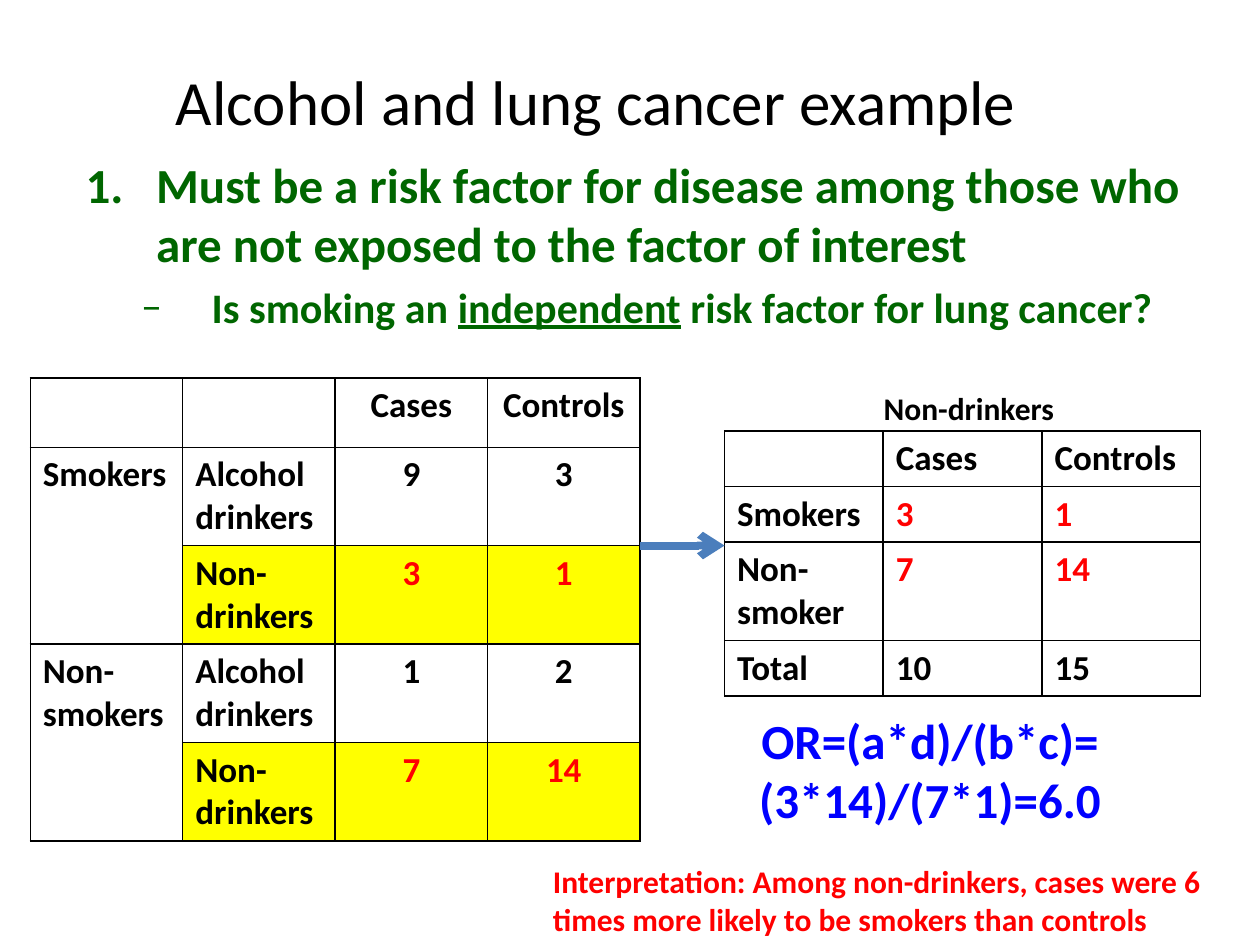
from pptx import Presentation
from pptx.dml.color import RGBColor
from pptx.enum.shapes import MSO_CONNECTOR
from pptx.enum.text import MSO_ANCHOR, MSO_AUTO_SIZE, PP_ALIGN
from pptx.oxml.ns import qn
from pptx.util import Inches, Pt
from lxml import etree

LEFT, CENTER = PP_ALIGN.LEFT, PP_ALIGN.CENTER
BLACK, RED, GREEN, BLUE, YELLOW = "000000", "FF0000", "006600", "0000FF", "FFFF00"


def color(hex_string):
    return RGBColor.from_string(hex_string)


def add_run(p, text, size, hex_string, bold=True):
    r = p.add_run()
    r.text = text
    r.font.name = "Calibri"
    r.font.size = Pt(size)
    r.font.bold = bold
    r.font.color.rgb = color(hex_string)
    return r


prs = Presentation()
prs.slide_width, prs.slide_height = Inches(10), Inches(7.5)
s = prs.slides.add_slide(prs.slide_layouts[1])

# Title and numbered criterion
title, body = s.placeholders
for sp, box in ((title, (0.23, 0.17, 9, 1.25)), (body, (0.58, 1.18, 9, 4.95))):
    sp.left, sp.top, sp.width, sp.height = map(Inches, box)
    sp.text_frame.auto_size = MSO_AUTO_SIZE.NONE
title.text_frame.vertical_anchor = MSO_ANCHOR.MIDDLE
p = title.text_frame.paragraphs[0]
p.alignment = CENTER
add_run(p, "Alcohol and lung cancer example", 36, BLACK, bold=False)

tf = body.text_frame
criterion, question = tf.paragraphs[0], tf.add_paragraph()
question.level = 1
add_run(criterion, "Must be a risk factor for disease among those who are not exposed "
        "to the factor of interest", 28, GREEN)
add_run(question, "Is smoking an ", 24, GREEN)
add_run(question, "independent", 24, GREEN).font.underline = True
add_run(question, " risk factor for lung cancer?", 24, GREEN)
for p, indent, tag, attr, value in (
        (criterion, 0.56, "a:buAutoNum", "type", "arabicPeriod"),
        (question, 1, "a:buChar", "char", "–")):
    pPr = p._p.get_or_add_pPr()
    pPr.set("marL", str(Inches(indent)))
    pPr.set("indent", str(Inches(-0.56)))
    etree.SubElement(pPr, qn("a:buFont")).set("typeface", "Calibri")
    etree.SubElement(pPr, qn(tag)).set(attr, value)

# Tables: position, column width, row heights, alignment of counts,
# number of label columns, rows of interest, their fill, cell texts
tables = (
    (5.75, 3.42, 1.26, (0.39, 0.43, 0.39, 0.39), LEFT, 1, (1, 2), None, (
        ("", "Cases", "Controls"),
        ("Smokers", "3", "1"),
        ("Non-smoker", "7", "14"),
        ("Total", "10", "15"))),
    (0.24, 3, 1.21, (0.55,) + (0.62,) * 4, CENTER, 2, (2, 4), YELLOW, (
        ("", "", "Cases", "Controls"),
        ("Smokers", "Alcohol drinkers", "9", "3"),
        ("", "Non-drinkers", "3", "1"),
        ("Non-smokers", "Alcohol drinkers", "1", "2"),
        ("", "Non-drinkers", "7", "14"))),
)
for left, top, col_w, row_hs, count_align, labels, key_rows, key_fill, rows in tables:
    n_cols = len(rows[0])
    tbl = s.shapes.add_table(len(rows), n_cols, Inches(left), Inches(top),
                             Inches(col_w * n_cols), Inches(sum(row_hs))).table
    tbl.first_row = tbl.horz_banding = False
    for col in tbl.columns:
        col.width = Inches(col_w)
    for i, texts in enumerate(rows):
        tbl.rows[i].height = Inches(row_hs[i])
        for j, text in enumerate(texts):
            cell = tbl.cell(i, j)
            tcPr = cell._tc.get_or_add_tcPr()
            for side in ("a:lnL", "a:lnR", "a:lnT", "a:lnB"):
                ln = etree.SubElement(tcPr, qn(side), w=str(Pt(1)))
                fill = etree.SubElement(ln, qn("a:solidFill"))
                etree.SubElement(fill, qn("a:srgbClr"), val=BLACK)
            if key_fill and i in key_rows and j > 0:
                cell.fill.solid()
                cell.fill.fore_color.rgb = color(key_fill)
            else:
                cell.fill.background()
            if text:
                is_count = j >= labels
                p = cell.text_frame.paragraphs[0]
                p.alignment = count_align if is_count else LEFT
                add_run(p, text, 20, RED if is_count and i in key_rows else BLACK)
    if labels == 2:
        for i in (1, 3):
            tbl.cell(i, 0).merge(tbl.cell(i + 1, 0))

# Caption, odds ratio and interpretation
for box, size, hex_string, align, lines in (
        ((4.92, 5.59, 4.92, 1.04), 28, BLUE, CENTER,
         ("OR=(a*d)/(b*c)=", "(3*14)/(7*1)=6.0")),
        ((6.19, 3.04, 3, 0.4), 18, BLACK, CENTER, ("Non-drinkers",)),
        ((4.29, 6.79, 5.83, 0.71), 18, RED, LEFT,
         ("Interpretation: Among non-drinkers, cases were 6 times more likely "
          "to be smokers than controls",))):
    tf = s.shapes.add_textbox(*map(Inches, box)).text_frame
    tf.word_wrap = True
    tf.auto_size = MSO_AUTO_SIZE.SHAPE_TO_FIT_TEXT
    for i, line in enumerate(lines):
        p = tf.add_paragraph() if i else tf.paragraphs[0]
        p.alignment = align
        add_run(p, line, size, hex_string)

# Arrow from the full table to the non-drinkers table
arrow = s.shapes.add_connector(MSO_CONNECTOR.STRAIGHT, Inches(5.08), Inches(4.33),
                               Inches(5.75), Inches(4.33))
arrow.line.color.rgb = color("4B7EBC")
arrow.line.width = Pt(4.5)
etree.SubElement(arrow.line._get_or_add_ln(), qn("a:tailEnd"), type="arrow")
etree.SubElement(arrow._element.spPr, qn("a:effectLst"))

prs.save("out.pptx")
